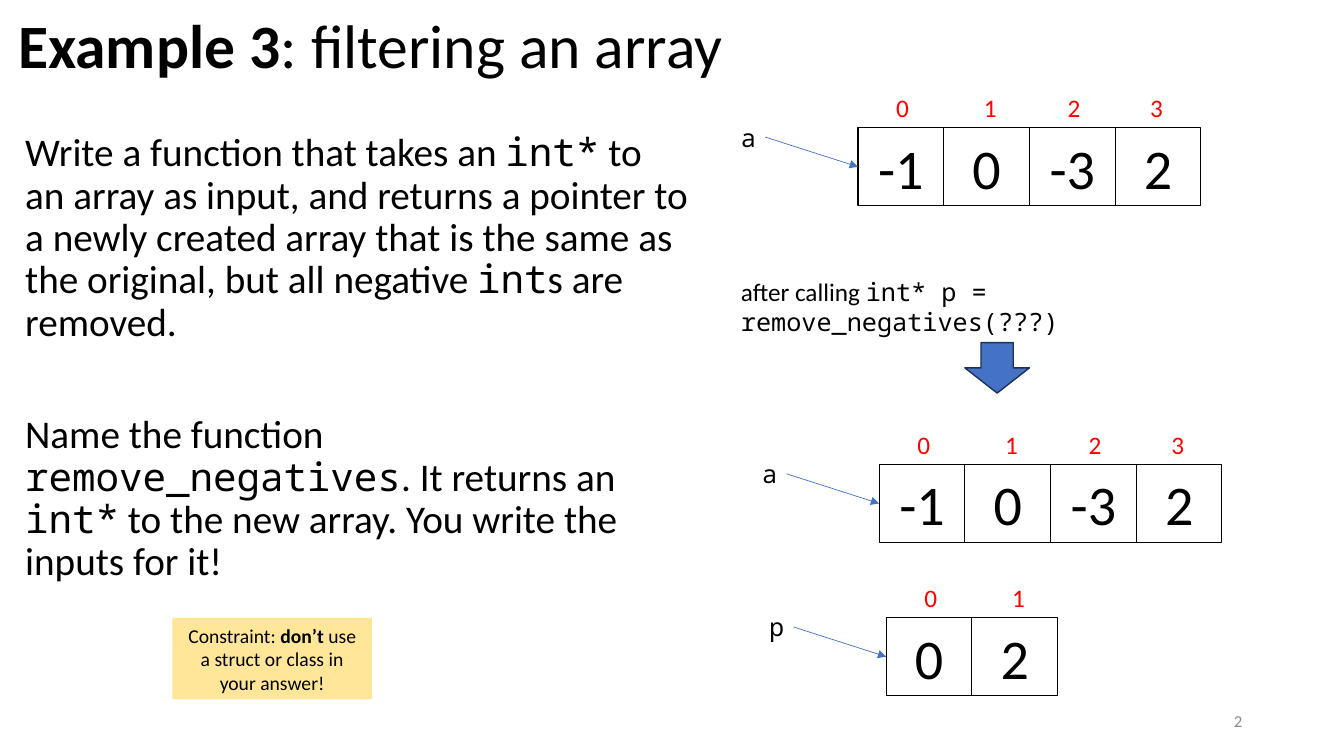
from pptx import Presentation
from pptx.dml.color import RGBColor
from pptx.enum.shapes import MSO_CONNECTOR, MSO_SHAPE
from pptx.enum.text import MSO_ANCHOR, MSO_AUTO_SIZE, PP_ALIGN
from pptx.oxml.ns import qn
from pptx.util import Inches, Pt
from lxml import etree

RECTANGLE, DOWN_ARROW = MSO_SHAPE.RECTANGLE, MSO_SHAPE.DOWN_ARROW
STRAIGHT = MSO_CONNECTOR.STRAIGHT
TOP, MIDDLE = MSO_ANCHOR.TOP, MSO_ANCHOR.MIDDLE
LEFT, CENTER, RIGHT = PP_ALIGN.LEFT, PP_ALIGN.CENTER, PP_ALIGN.RIGHT
NO_RESIZE = MSO_AUTO_SIZE.NONE

BLACK = RGBColor(0, 0, 0)
RED = RGBColor(0xFF, 0, 0)
GREY = RGBColor(0x8C, 0x8C, 0x8C)
BLUE = RGBColor(0x44, 0x72, 0xC4)
NAVY = RGBColor(0x1E, 0x32, 0x56)
YELLOW = RGBColor(0xFF, 0xE6, 0x99)

SANS, MONO = "Calibri", "Noto Sans Mono"
CODE = {"name": MONO}
BOLD = {"bold": True}

CELL_WIDTH, CELL_HEIGHT = 0.85, 0.77
INDEX_OFFSETS = (0.28, 1.15, 1.98, 2.80)

TASK = [
    [("Write a function that takes an ", {}), ("int*", CODE),
     (" to an array as input, and returns a pointer to a newly created array "
      "that is the same as the original, but all negative ", {}),
     ("int", CODE), ("s are removed.", {})],
    [("Name the function ", {}), ("remove_negatives", CODE),
     (". It returns an ", {}), ("int*", CODE),
     (" to the new array. You write the inputs for it!", {})],
]

# Left, top, pointer name and values of each array
ARRAYS = [
    (8.51, 1.27, "a", ("-1", "0", "-3", "2")),
    (8.72, 4.61, "a", ("-1", "0", "-3", "2")),
    (8.79, 6.13, "p", ("0", "2")),
]


def place(shape, box):
    for side, length in zip(("left", "top", "width", "height"), box):
        setattr(shape, side, Inches(length))


def write(para, spans, size, color=BLACK, align=LEFT):
    para.alignment = align
    for text, changes in spans:
        span = para.add_run()
        span.text = text
        formats = {"name": SANS, "size": Pt(size), "bold": False, **changes}
        for name, value in formats.items():
            setattr(span.font, name, value)
        span.font.color.rgb = color


def add_text(page, box, spans, size, color=BLACK, align=LEFT, anchor=TOP, wrap=False):
    shape = page.shapes.add_textbox(*map(Inches, box))
    shape.text_frame.word_wrap = wrap
    shape.text_frame.vertical_anchor = anchor
    write(shape.text_frame.paragraphs[0], spans, size, color, align)
    return shape


def add_block(page, kind, box, fill=None, line=None, line_width=0.75):
    shape = page.shapes.add_shape(kind, *map(Inches, box))
    shape.shadow.inherit = False
    if fill is None:
        shape.fill.background()
    else:
        shape.fill.solid()
        shape.fill.fore_color.rgb = fill
    if line is None:
        shape.line.fill.background()
    else:
        shape.line.color.rgb = line
        shape.line.width = Pt(line_width)
    return shape


def add_title(page, box):
    title = page.shapes.title
    place(title, box)
    title.text_frame.auto_size = NO_RESIZE
    title.text_frame.vertical_anchor = MIDDLE
    para = title.text_frame.paragraphs[0]
    para.line_spacing = 0.9
    write(para, [("Example 3", BOLD), (": filtering an array", {})], 44)


def add_task(page, box):
    body = page.placeholders[1]
    place(body, box)
    frame = body.text_frame
    frame.auto_size = NO_RESIZE
    for number, spans in enumerate(TASK):
        para = frame.add_paragraph() if number else frame.paragraphs[0]
        para.line_spacing = 0.9
        para.space_before = Pt(50 if number else 10)
        write(para, spans, 28)
        properties = para._p.get_or_add_pPr()
        properties.set("marL", "0")
        properties.set("indent", "0")
        etree.SubElement(properties, qn("a:buNone"))


def add_pointer(page, label, cell):
    pointer = page.shapes.add_connector(STRAIGHT, 0, 0, 0, 0)
    pointer.begin_connect(label, 3)
    pointer.end_connect(cell, 1)
    pointer.line.color.rgb = BLUE
    pointer.line.width = Pt(0.5)
    etree.SubElement(pointer.line._get_or_add_ln(), qn("a:tailEnd"), type="triangle")
    etree.SubElement(pointer._element.spPr, qn("a:effectLst"))


def add_array(page, left, top, name, values):
    # Cells with their red indices above
    cells = []
    for index, value in enumerate(values):
        box = (left + index * CELL_WIDTH, top, CELL_WIDTH, CELL_HEIGHT)
        cell = add_block(page, RECTANGLE, box, line=BLACK)
        write(cell.text_frame.paragraphs[0], [(value, {})], 40, align=CENTER)
        cells.append(cell)
        index_box = (left + INDEX_OFFSETS[index], top - 0.4, 0.33, 0.4)
        add_text(page, index_box, [(str(index), {})], 18, RED)
    # Variable name pointing at the first cell
    label = add_text(page, (left - 1.26, top - 0.11, 0.34, 0.4), [(name, CODE)], 18)
    add_pointer(page, label, cells[0])


def add_call(page, left, top):
    spans = [("after calling ", {}), ("int* p = remove_negatives(???)", CODE)]
    add_text(page, (left, top, 5.62, 0.4), spans, 18, wrap=True)
    arrow_box = (left + 2.32, top + 0.71, 0.64, 0.5)
    add_block(page, DOWN_ARROW, arrow_box, BLUE, NAVY, 1)


def add_constraint(page, box):
    note = add_block(page, RECTANGLE, box, YELLOW)
    note.text_frame.word_wrap = True
    spans = [("Constraint: ", {}), ("don’t", BOLD),
             (" use a struct or class in your answer!", {})]
    write(note.text_frame.paragraphs[0], spans, 14, align=CENTER)


def main():
    deck = Presentation()
    deck.slide_width, deck.slide_height = Inches(13.33), Inches(7.5)
    page = deck.slides.add_slide(deck.slide_layouts[1])
    add_title(page, (0.08, -0.24, 7.82, 1.45))
    add_task(page, (0.15, 1.27, 6.79, 4.76))
    for array in ARRAYS:
        add_array(page, *array)
    add_call(page, 7.25, 2.69)
    add_constraint(page, (1.71, 6.13, 1.98, 0.81))
    # Page number
    add_text(page, (9.42, 6.95, 3, 0.4), [("2", {})], 12, GREY, RIGHT, MIDDLE, True)
    deck.save("out.pptx")


if __name__ == "__main__":
    main()
